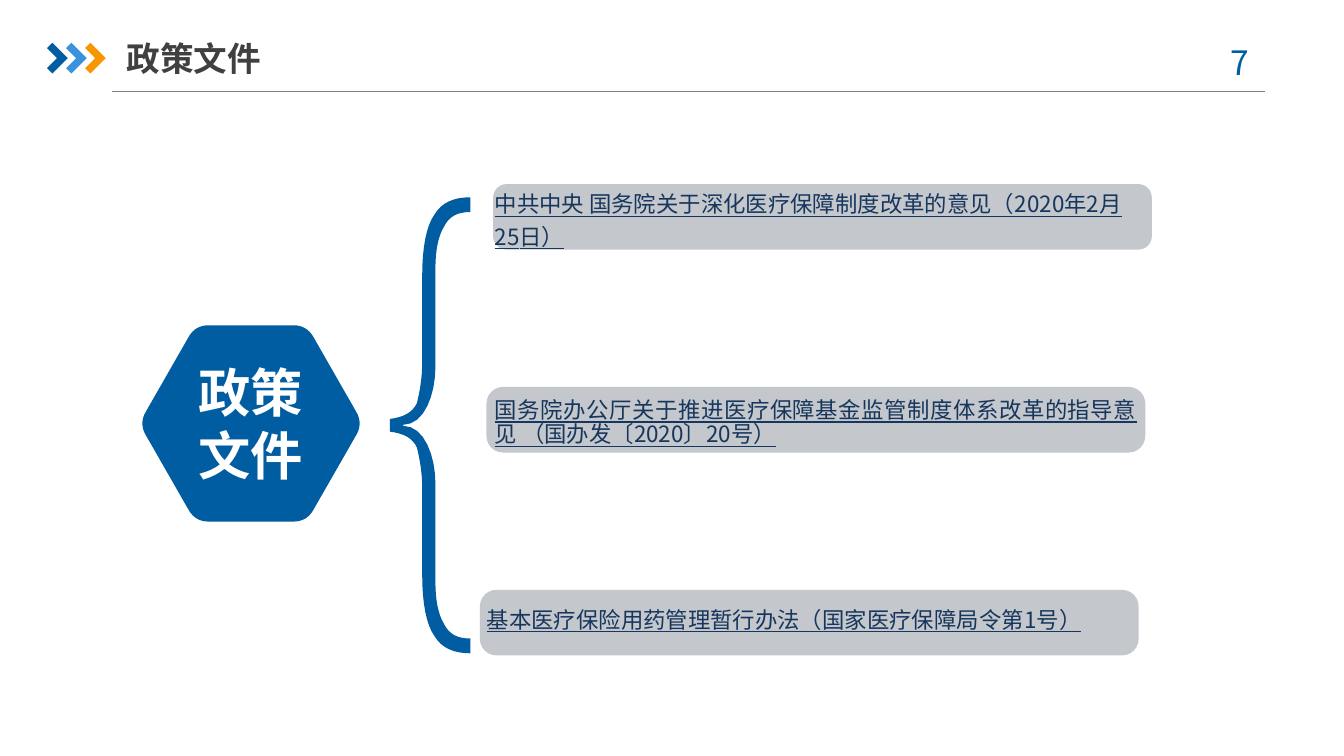
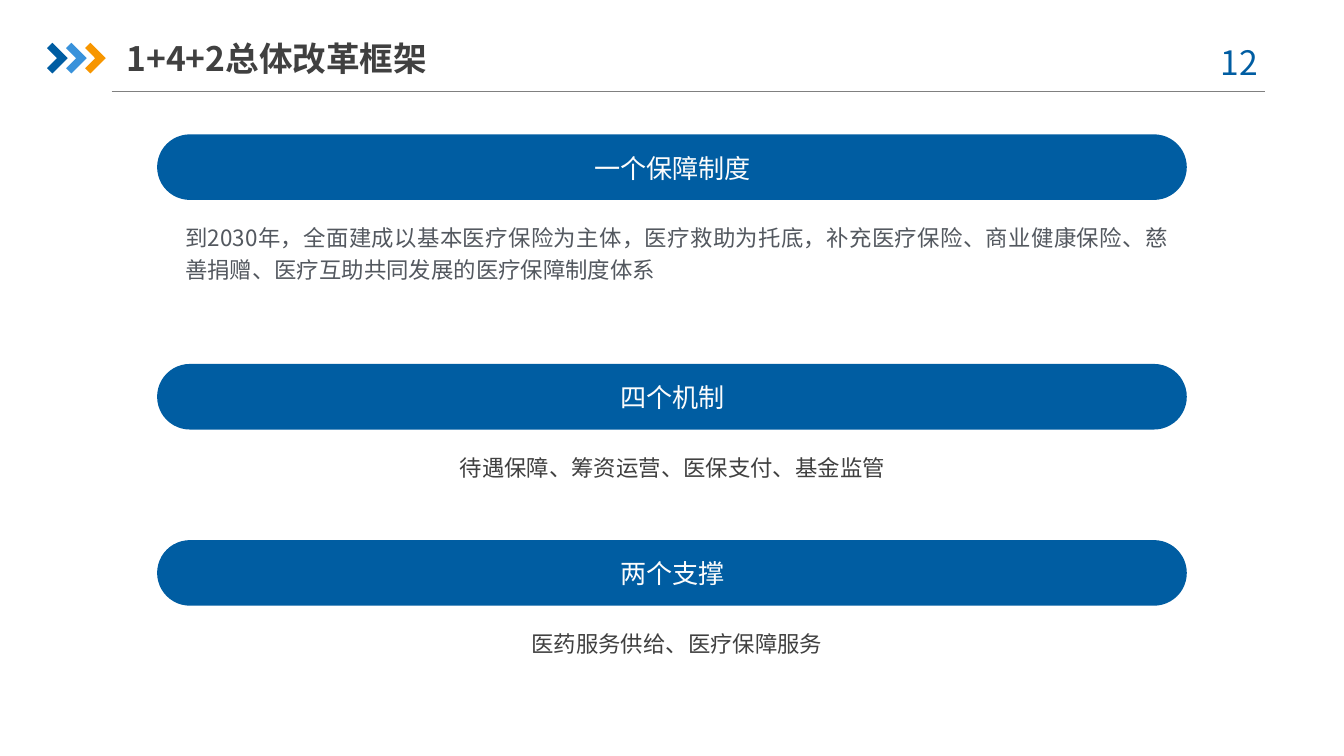
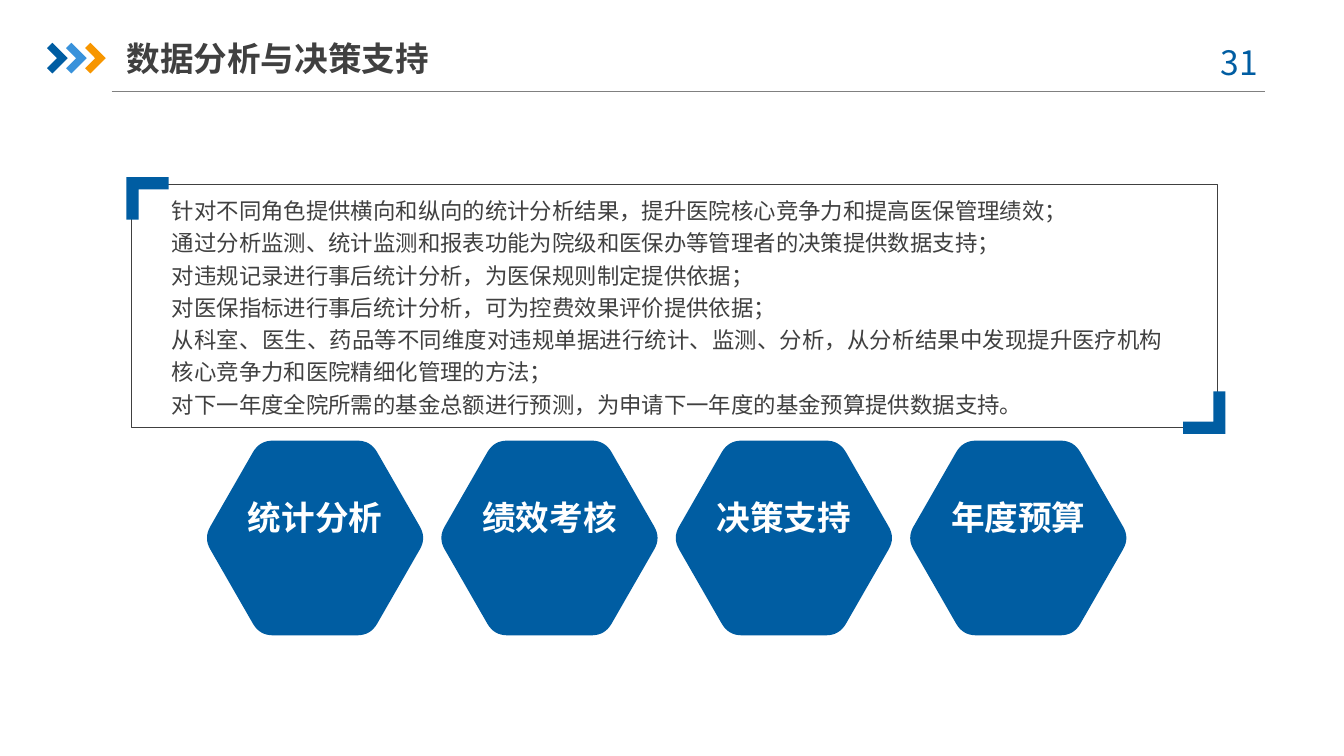
from lxml.etree import SubElement
from pptx import Presentation
from pptx.dml.color import RGBColor as Rgb
from pptx.enum.shapes import MSO_CONNECTOR as Link, MSO_SHAPE as Shape
from pptx.enum.text import MSO_ANCHOR as Anchor, MSO_AUTO_SIZE as Fit, PP_ALIGN as Align
from pptx.oxml.ns import qn
from pptx.util import Cm, Pt

FONT = "Noto Sans CJK SC"
HUES = {
    "blue": "005DA2", "sky": "3992DB", "gold": "F79600", "rule": "808080",
    "ink": "404040", "slate": "53585F", "navy": "17365D", "bar": "C4C7CB",
    "white": "FFFFFF", "pale": "FCFCFC",
}
STYLES = {
    "title": {"size": Pt(18), "bold": True},
    "page": {"size": Pt(18)},
    "hub": {"size": Pt(28), "bold": True},
    "head": {"size": Pt(14)},
    "body": {"size": Pt(12)},
    "cite": {"size": Pt(12), "underline": True},
}


def hue(name):
    return Rgb.from_string(HUES[name])


def write(frame, lines, style, color, align=Align.LEFT, gap=1.0,
          anchor=Anchor.TOP, pads=(0, 0)):
    """Fill a text frame; pads are the side and the top/bottom insets in cm."""
    side, edge = map(Cm, pads)
    setup = {"word_wrap": True, "auto_size": Fit.NONE, "vertical_anchor": anchor,
             "margin_left": side, "margin_right": side,
             "margin_top": edge, "margin_bottom": edge}
    for key, val in setup.items():
        setattr(frame, key, val)
    for i, line in enumerate(lines):
        para = frame.paragraphs[0] if i == 0 else frame.add_paragraph()
        layout = {"alignment": align, "line_spacing": gap, "space_before": Pt(0)}
        for key, val in layout.items():
            setattr(para, key, val)
        run = para.add_run()
        run.text = line
        for key, val in {"name": FONT, **STYLES[style]}.items():
            setattr(run.font, key, val)
        run.font.color.rgb = hue(color)
        SubElement(run._r.get_or_add_rPr(), qn("a:ea"), typeface=FONT)


def place(shape, box):
    for key, val in zip(("left", "top", "width", "height"), box):
        setattr(shape, key, Cm(val))


def label(slide, box, text, style, color, **more):
    area = slide.shapes.add_textbox(*map(Cm, box))
    write(area.text_frame, [text], style, color, **more)


def paint(shape, color):
    shape.shadow.inherit = False
    shape.fill.solid()
    shape.fill.fore_color.rgb = hue(color)
    shape.line.fill.background()


def panel(slide, box, color, bend):
    shape = slide.shapes.add_shape(Shape.ROUNDED_RECTANGLE, *map(Cm, box))
    shape.adjustments[0] = bend
    paint(shape, color)
    return shape


def outline(slide, points, color):
    first, *rest = [(Cm(x), Cm(y)) for x, y in points]
    form = slide.shapes.build_freeform(*first)
    form.add_line_segments(rest, close=True)
    paint(form.convert_to_shape(), color)


def curve(knots, steps=8):
    """Points on the Bezier curve with these control points."""
    points = []
    for i in range(steps + 1):
        t, level = i / steps, knots
        while len(level) > 1:
            level = [((1 - t) * a + t * c, (1 - t) * b + t * d)
                     for (a, b), (c, d) in zip(level, level[1:])]
        points += level
    return points


def toward(a, b, dist):
    """The point at a distance from a on the way to b."""
    dx, dy = b[0] - a[0], b[1] - a[1]
    part = dist / (dx * dx + dy * dy) ** 0.5
    return a[0] + dx * part, a[1] + dy * part


def hexagon(slide, x, y, w, h):
    """Hexagon with rounded corners; its sharp tips would stick out a little."""
    tip, slant, cut = 0.06, 0.244 * w, 0.25
    tops = [(x - tip, y + h / 2), (x + slant, y), (x + w - slant, y),
            (x + w + tip, y + h / 2), (x + w - slant, y + h), (x + slant, y + h)]
    points = []
    for i, spot in enumerate(tops):
        last, ahead = tops[i - 1], tops[(i + 1) % 6]
        points += curve([toward(spot, last, cut), spot, toward(spot, ahead, cut)])
    outline(slide, points, "blue")


def brace(slide, x, y):
    """Curly brace whose tip is at x, y; the upper half mirrors the lower."""
    bends = [
        [(0, .12), (.25, .15), (.43, .24), (.51, .42)],
        [(.51, .42), (.56, .62), (.61, .88), (.61, 1.18)],
        [(.61, 2.81), (.61, 3.37), (.69, 3.77), (.84, 3.98)],
        [(.84, 3.98), (.97, 4.2), (1.19, 4.31), (1.52, 4.31)],
        [(1.52, 4.03), (1.27, 4.03), (1.12, 3.95), (1.02, 3.75)],
        [(1.02, 3.75), (.91, 3.57), (.86, 3.29), (.86, 2.96)],
        [(.86, 1.1), (.86, .6), (.66, .01), (.25, .01)],
    ]
    half = [spot for bend in bends for spot in curve(bend)]
    points = [(x + dx, y + dy) for dx, dy in half]
    points += [(x + dx, y - dy) for dx, dy in reversed(half)]
    outline(slide, points, "blue")


def corner(slide, x, y, sign):
    """L-shaped mark; sign -1 turns it half round."""
    size, thick = 0.8 * sign, 0.23 * sign
    steps = [(0, 0), (size, 0), (size, thick), (thick, thick), (thick, size), (0, size)]
    outline(slide, [(x + dx, y + dy) for dx, dy in steps], "blue")


def start(deck, title, page, layout=5):
    """New slide with title, rule, chevrons and page number."""
    slide = deck.slides.add_slide(deck.slide_layouts[layout])
    rule = slide.shapes.add_connector(Link.STRAIGHT, Cm(2.11), Cm(1.73), Cm(23.9), Cm(1.73))
    rule.line.color.rgb = hue("rule")
    rule.line.width = Pt(0.75)
    SubElement(rule._element.spPr, qn("a:effectLst"))
    arrow = [(0, .1), (.1, 0), (.39, .29), (.1, .58), (0, .48), (.19, .29)]
    for i, color in enumerate(("blue", "sky", "gold")):
        outline(slide, [(0.89 + 0.36 * i + dx, 0.81 + dy) for dx, dy in arrow], color)
    label(slide, (22.5, 0.66, 1.85, 1.02), page, "page", "blue",
          align=Align.CENTER, pads=(0.25, 0.13))
    place(slide.shapes.title, (2.39, 0.56, 6.5, 1.07))
    write(slide.shapes.title.text_frame, [title], "title", "ink",
          anchor=Anchor.MIDDLE, pads=(0, 0.13))
    return slide


def policy(deck):
    slide = start(deck, "政策文件", "7")
    hexagon(slide, 2.69, 6.15, 4.11, 3.71)
    label(slide, (3.48, 6.81, 2.51, 2.39), "政策文件", "hub", "white", align=Align.CENTER)
    brace(slide, 7.37, 8.04)
    files = [
        ("中共中央 国务院关于深化医疗保障制度改革的意见（2020年2月25日）",
         0.206, 9.35, 3.5, Align.LEFT, 1.2),
        ("国务院办公厅关于推进医疗保障基金监管制度体系改革的指导意见 （国办发〔2020〕20号）",
         0.253, 9.35, 7.54, Align.JUSTIFY, Pt(13)),
        ("基本医疗保险用药管理暂行办法（国家医疗保障局令第1号）",
         0.253, 9.2, 11.5, Align.JUSTIFY, Pt(13)),
    ]
    for i, (text, bend, x, y, align, gap) in enumerate(files):
        panel(slide, (9.32 - 0.125 * i, 3.48 + 3.835 * i, 12.45, 1.24), "bar", bend)
        label(slide, (x, y, 12.14, 1.22), text, "cite", "navy", align=align, gap=gap)


def reform(deck):
    slide = start(deck, "1+4+2总体改革框架", "12")
    parts = [
        (2.54, "一个保障制度",
         "到2030年，全面建成以基本医疗保险为主体，医疗救助为托底，补充医疗保险、"
         "商业健康保险、慈善捐赠、医疗互助共同发展的医疗保障制度体系",
         3.5, 18.59, 1.17, "slate", Align.JUSTIFY),
        (6.88, "四个机制", "待遇保障、筹资运营、医保支付、基金监管",
         4.95, 15.52, 0.56, "ink", Align.CENTER),
        (10.21, "两个支撑", "医药服务供给、医疗保障服务",
         3.5, 18.59, 0.56, "ink", Align.CENTER),
    ]
    for y, head, text, x, w, h, color, align in parts:
        panel(slide, (2.97, y, 19.46, 1.24), "blue", 0.5)
        label(slide, (8.51, y + 0.2, 8.41, 0.86), head, "head", "pale",
              align=Align.CENTER, anchor=Anchor.MIDDLE)
        label(slide, (x, y + 1.6, w, h), text, "body", color, align=align, gap=1.2)


def support(deck):
    slide = start(deck, "数据分析与决策支持", "31", layout=1)
    frame = panel(slide, (2.49, 3.48, 20.52, 4.6), "white", 0)
    frame.fill.background()
    frame.line.color.rgb = hue("ink")
    frame.line.width = Pt(0.25)
    points = [
        "针对不同角色提供横向和纵向的统计分析结果，提升医院核心竞争力和提高医保管理绩效；",
        "通过分析监测、统计监测和报表功能为院级和医保办等管理者的决策提供数据支持；",
        "对违规记录进行事后统计分析，为医保规则制定提供依据；",
        "对医保指标进行事后统计分析，可为控费效果评价提供依据；",
        "从科室、医生、药品等不同维度对违规单据进行统计、监测、分析，"
        "从分析结果中发现提升医疗机构核心竞争力和医院精细化管理的方法；",
        "对下一年度全院所需的基金总额进行预测，为申请下一年度的基金预算提供数据支持。",
    ]
    body = slide.placeholders[1]
    place(body, (3.25, 3.63, 18.75, 4.32))
    write(body.text_frame, points, "body", "ink", align=Align.JUSTIFY, gap=1.2)
    for para in body.text_frame.paragraphs:
        props = para._p.get_or_add_pPr()
        for key in ("marL", "indent"):
            props.set(key, "0")
        SubElement(props, qn("a:buNone"))
    corner(slide, 2.39, 3.35, 1)
    corner(slide, 23.16, 8.2, -1)
    for i, text in enumerate(("统计分析", "绩效考核", "决策支持", "年度预算")):
        x = 3.91 + 4.43 * i
        hexagon(slide, x, 8.33, 4.09, 3.68)
        label(slide, (x + 0.7, 9.4, 2.69, 0.76), text, "title", "white", align=Align.CENTER)


def main():
    deck = Presentation()
    deck.slide_width, deck.slide_height = Cm(25.4), Cm(14.29)
    for build in (policy, reform, support):
        build(deck)
    deck.save("out.pptx")


if __name__ == "__main__":
    main()
